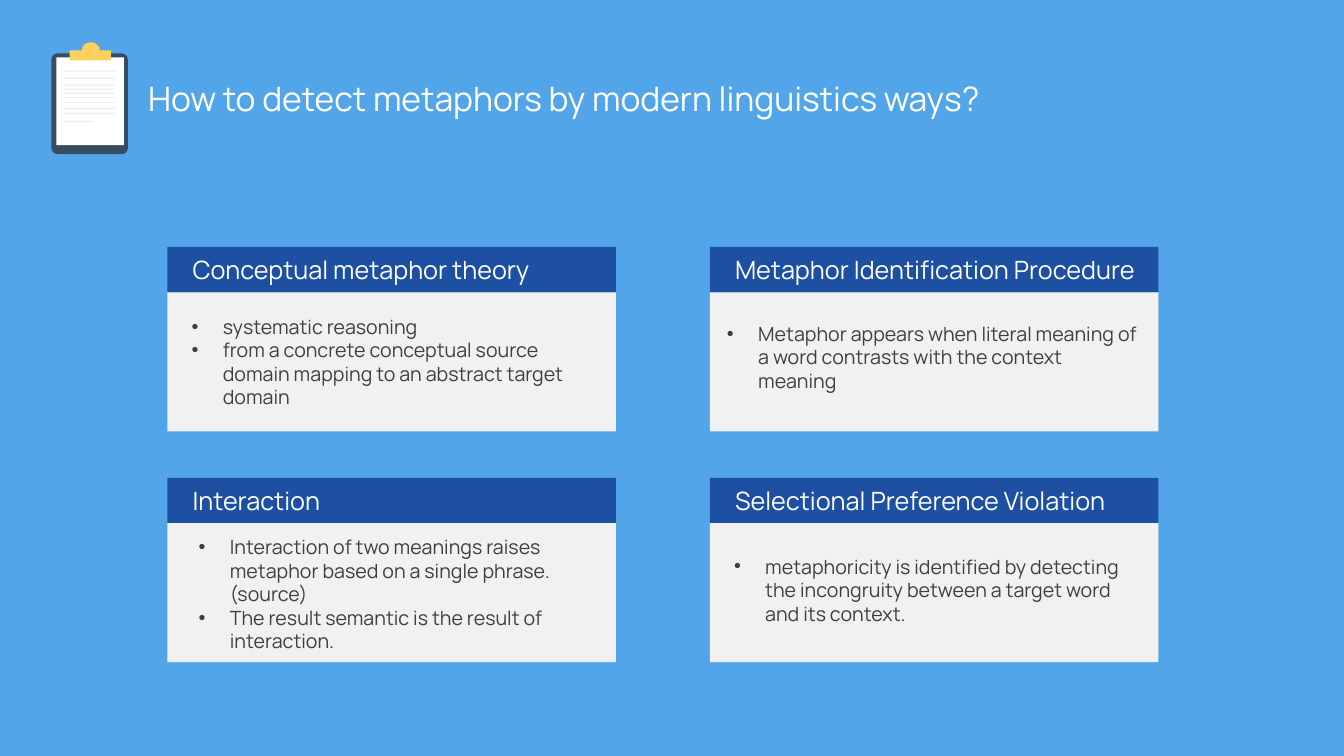
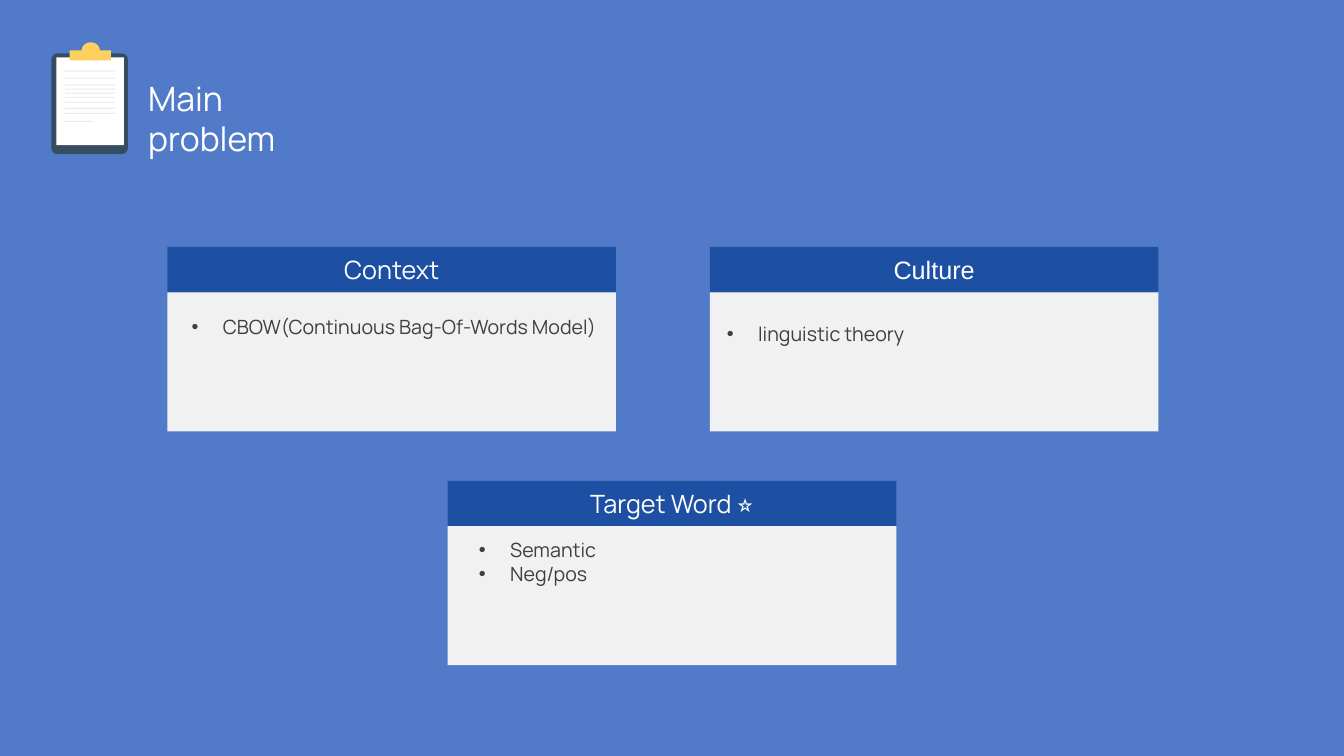
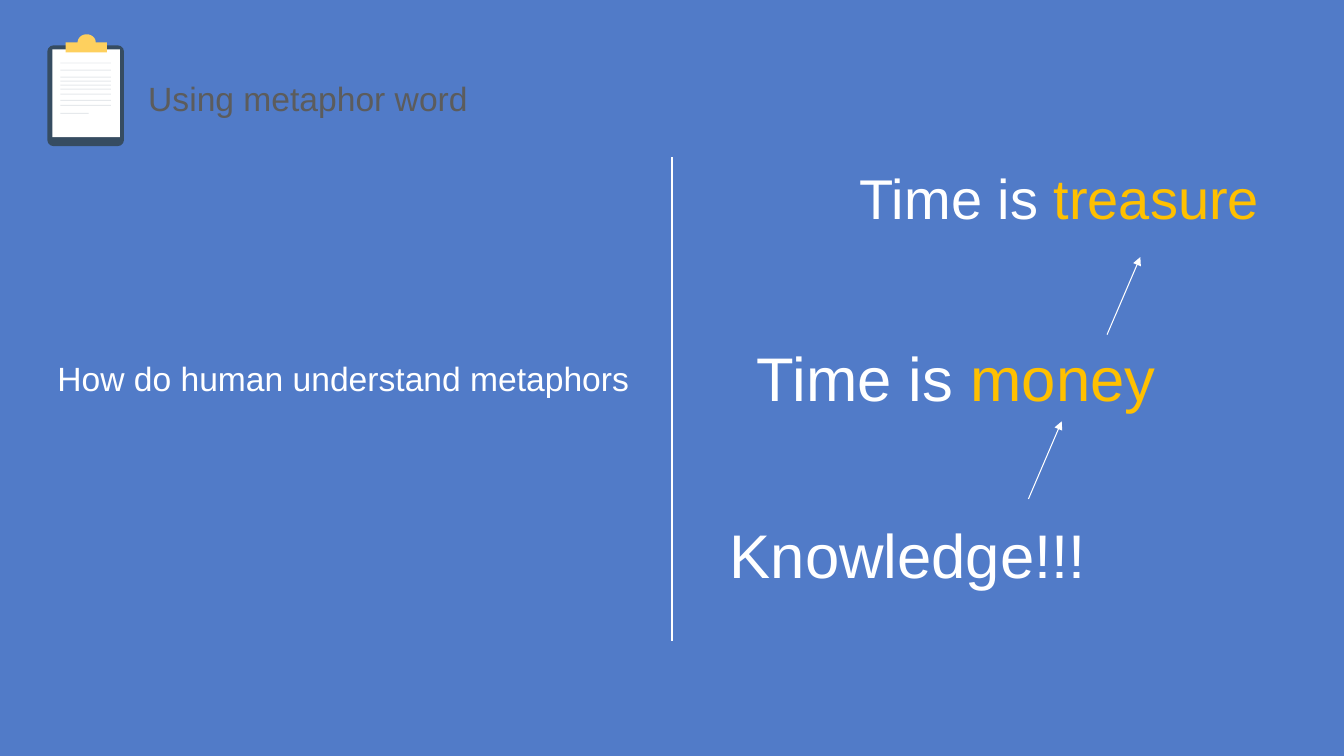
import dataclasses
import math

import pptx
import pptx.dml.color
import pptx.enum.shapes
import pptx.enum.text
import pptx.oxml
import pptx.oxml.ns
import pptx.util

SLIDE_WIDTH, SLIDE_HEIGHT = 13.33, 7.5
SKY, BLUE, NAVY = "53A5EA", "517BC8", "1D50A2"
WHITE, PANEL, INK, GREY, GOLD = "FFFFFF", "F1F1F1", "3F3F3F", "5C5C5C", "FFC000"
BOARD, CLIP, RULE = "364C61", "FED05E", "E6E9EC"
SANS, PLAIN = "Manrope", "Arial"
SHAPES = pptx.enum.shapes.MSO_SHAPE
ALIGN = pptx.enum.text.PP_ALIGN
ANCHOR = pptx.enum.text.MSO_ANCHOR

CARD_WIDTH, HEADER_HEIGHT, PANEL_HEIGHT = 4.45, 0.45, 1.38
CARD_LEFT, CARD_TOP, COLUMN_STEP, ROW_STEP = 1.66, 2.45, 5.38, 2.29
LIST_WIDTH, LIST_INDENT = 4.31, 0.31


@dataclasses.dataclass
class Card:
    """A headed panel; shift places its list within the panel."""
    heading: str
    items: list
    left: float
    top: float
    shift: tuple
    font: str = SANS


def color(hex_string):
    """Turn a hex string into a colour."""
    return pptx.dml.color.RGBColor.from_string(hex_string)


def inches(*lengths):
    """Convert lengths in inches to slide units."""
    return [pptx.util.Inches(length) for length in lengths]


def paint(shape, fill):
    """Give a shape a flat fill without line or shadow."""
    shape.shadow.inherit = False
    shape.fill.solid()
    shape.fill.fore_color.rgb = color(fill)
    shape.line.fill.background()
    return shape


def add_block(shapes, kind, left, top, width, height, fill):
    """Add a flat preset shape."""
    return paint(shapes.add_shape(kind, *inches(left, top, width, height)), fill)


def place(shape, left, top, width, height):
    """Move and size a placeholder."""
    shape.left, shape.top, shape.width, shape.height = inches(left, top, width, height)


def prepare_frame(shape, anchor=ANCHOR.TOP, margin=0.1):
    """Set the wrapping, anchor and left margin of a text frame."""
    frame = shape.text_frame
    frame.word_wrap = True
    frame.auto_size = pptx.enum.text.MSO_AUTO_SIZE.NONE
    frame.vertical_anchor = anchor
    frame.margin_left, frame.margin_right = inches(margin, 0.1)
    frame.margin_top = frame.margin_bottom = pptx.util.Inches(0.05)
    return frame


def write(paragraph, runs, size, font, align=ALIGN.LEFT):
    """Write (text, colour) runs into a paragraph."""
    paragraph.alignment = align
    paragraph.space_before = pptx.util.Pt(0)
    for text, hex_string in runs:
        run = paragraph.add_run()
        run.text = text
        run.font.size = pptx.util.Pt(size)
        run.font.name = font
        run.font.bold = False
        run.font.color.rgb = color(hex_string)


def add_bullet(paragraph):
    """Give a paragraph a hanging round bullet."""
    properties = paragraph._p.get_or_add_pPr()
    indent = pptx.util.Inches(LIST_INDENT)
    properties.set("marL", str(indent))
    properties.set("indent", str(-indent))
    namespace = pptx.oxml.ns.nsdecls("a")
    for tag in ('buFont %s typeface="Arial"', 'buChar %s char="•"'):
        properties.append(pptx.oxml.parse_xml(f"<a:{tag % namespace}/>"))


def add_clipboard(slide, left, top):
    """Draw the clipboard icon from its top left corner."""
    shapes = slide.shapes.add_group_shape().shapes
    board = add_block(shapes, SHAPES.ROUNDED_RECTANGLE, left, top + 0.11, 0.76, 1, BOARD)
    board.adjustments[0] = 0.08
    add_block(shapes, SHAPES.RECTANGLE, left + 0.05, top + 0.15, 0.67, 0.87, WHITE)
    arc = [math.pi * step / 16 for step in range(17)]
    outline = [(0.39 + 0.09 * math.cos(angle), 0.08 - 0.08 * math.sin(angle)) for angle in arc]
    outline += [(0.18, 0.08), (0.18, 0.18), (0.59, 0.18), (0.59, 0.08)]
    points = [inches(left + across, top + down) for across, down in outline]
    builder = shapes.build_freeform(*points[0])
    builder.add_line_segments(points[1:], close=True)
    paint(builder.convert_to_shape(), CLIP)
    for down in (0.28, 0.35, 0.42, 0.46, 0.5, 0.54, 0.59, 0.65, 0.7, 0.78):
        width = 0.28 if down == 0.78 else 0.5
        add_block(shapes, SHAPES.RECTANGLE, left + 0.13, top + down, width, 0.01, RULE)


def start_slide(presentation, layout, background, title, title_width=10,
                font=SANS, title_color=WHITE, icon=(0.51, 0.42)):
    """Add a slide with its background, icon and title."""
    slide = presentation.slides.add_slide(presentation.slide_layouts.get_by_name(layout))
    slide.background.fill.solid()
    slide.background.fill.fore_color.rgb = color(background)
    add_clipboard(slide, *icon)
    place(slide.shapes.title, 1.37, 0.72, title_width, 0.5)
    frame = prepare_frame(slide.shapes.title)
    write(frame.paragraphs[0], [(title, title_color)], 24, font)
    return slide


def add_card(slide, card, body, align, margin):
    """Draw a card and put its list into a body placeholder."""
    panel_top = card.top + HEADER_HEIGHT
    header = add_block(slide.shapes, SHAPES.RECTANGLE, card.left, card.top,
                       CARD_WIDTH, HEADER_HEIGHT, NAVY)
    frame = prepare_frame(header, ANCHOR.MIDDLE, margin)
    write(frame.paragraphs[0], [(card.heading, WHITE)], 18, card.font, align)
    add_block(slide.shapes, SHAPES.RECTANGLE, card.left, panel_top,
              CARD_WIDTH, PANEL_HEIGHT, PANEL)
    across, down = card.shift
    place(body, card.left + across, panel_top + down, LIST_WIDTH, PANEL_HEIGHT - down)
    slide.shapes.element.append(body.element)
    frame = prepare_frame(body)
    for index, item in enumerate(card.items):
        paragraph = frame.add_paragraph() if index else frame.paragraphs[0]
        add_bullet(paragraph)
        write(paragraph, [(item, INK)], 14, SANS)


def add_cards(slide, cards, align=ALIGN.LEFT, margin=0.25):
    """Fill the body placeholders with cards and remove those left over."""
    bodies = [shape for shape in slide.placeholders if shape.placeholder_format.idx]
    for card, body in zip(cards, bodies):
        add_card(slide, card, body, align, margin)
    for body in bodies[len(cards):]:
        slide.shapes.element.remove(body.element)


def add_phrase(slide, left, top, width, height, runs, size):
    """Add a line of free text."""
    box = slide.shapes.add_textbox(*inches(left, top, width, height))
    write(prepare_frame(box).paragraphs[0], runs, size, PLAIN)


def add_line(slide, start, end, weight, arrow=False):
    """Add a white line, with an arrowhead at its end if asked."""
    line = slide.shapes.add_connector(
        pptx.enum.shapes.MSO_CONNECTOR.STRAIGHT, *inches(*start, *end))
    line.line.color.rgb = color(WHITE)
    line.line.width = pptx.util.Pt(weight)
    namespace = pptx.oxml.ns.nsdecls("a")
    if arrow:
        line.line._get_or_add_ln().append(
            pptx.oxml.parse_xml(f'<a:tailEnd {namespace} type="triangle"/>'))
    line.element.spPr.append(pptx.oxml.parse_xml(f"<a:effectLst {namespace}/>"))


def build_detection(presentation):
    """Build the slide with four ways to detect metaphors."""
    slide = start_slide(presentation, "Comparison", SKY,
                        "How to detect metaphors by modern linguistics ways?")
    right, lower = CARD_LEFT + COLUMN_STEP, CARD_TOP + ROW_STEP
    add_cards(slide, [
        Card("Conceptual metaphor theory",
             ["systematic reasoning",
              "from a concrete conceptual source domain mapping to an abstract target domain"],
             CARD_LEFT, CARD_TOP, (0.14, 0.17)),
        Card("Metaphor Identification Procedure",
             ["Metaphor appears when literal meaning of a word contrasts with the context meaning"],
             right, CARD_TOP, (0.07, 0.24)),
        Card("Interaction",
             ["Interaction of two meanings raises metaphor based on a single phrase. (source)",
              "The result semantic is the result of interaction."],
             CARD_LEFT, lower, (0.21, 0.07)),
        Card("Selectional Preference Violation",
             ["metaphoricity is identified by detecting the incongruity "
              "between a target word and its context."],
             right, lower, (0.14, 0.26)),
    ])


def build_problem(presentation):
    """Build the slide with the three parts of the main problem."""
    slide = start_slide(presentation, "Comparison", BLUE, "Main problem", title_width=1.8)
    add_cards(slide, [
        Card("Context", ["CBOW(Continuous Bag-Of-Words Model)"],
             CARD_LEFT, CARD_TOP, (0.14, 0.17)),
        Card("Culture", ["linguistic theory"],
             CARD_LEFT + COLUMN_STEP, CARD_TOP, (0.07, 0.24), PLAIN),
        Card("Target Word ⭐", ["Semantic", "Neg/pos"],
             (SLIDE_WIDTH - CARD_WIDTH) / 2, 4.77, (0.21, 0.07)),
    ], ALIGN.CENTER, 0.1)


def build_example(presentation):
    """Build the slide that leads from knowledge to a metaphor."""
    slide = start_slide(presentation, "Title Only", BLUE, "Using metaphor word",
                        font=PLAIN, title_color=GREY, icon=(0.47, 0.34))
    middle = SLIDE_WIDTH / 2
    add_line(slide, (middle, 1.56), (middle, 6.36), 1)
    add_phrase(slide, 0.47, 3.5, 5.99, 0.5, [("How do human understand metaphors", WHITE)], 24)
    add_phrase(slide, 8.43, 1.57, 4.2, 0.77, [("Time is ", WHITE), ("treasure", GOLD)], 40)
    add_phrase(slide, 7.41, 3.32, 4.2, 0.87, [("Time is ", WHITE), ("money", GOLD)], 44)
    add_phrase(slide, 7.14, 5.08, 4.2, 0.87, [("Knowledge!!!", WHITE)], 44)
    for left, bottom in ((10.2, 4.95), (10.98, 3.32)):
        add_line(slide, (left, bottom), (left + 0.33, bottom - 0.77), 0.75, arrow=True)


def main():
    """Build the presentation and save it."""
    presentation = pptx.Presentation()
    presentation.slide_width, presentation.slide_height = inches(SLIDE_WIDTH, SLIDE_HEIGHT)
    build_detection(presentation)
    build_problem(presentation)
    build_example(presentation)
    presentation.save("out.pptx")


if __name__ == "__main__":
    main()
